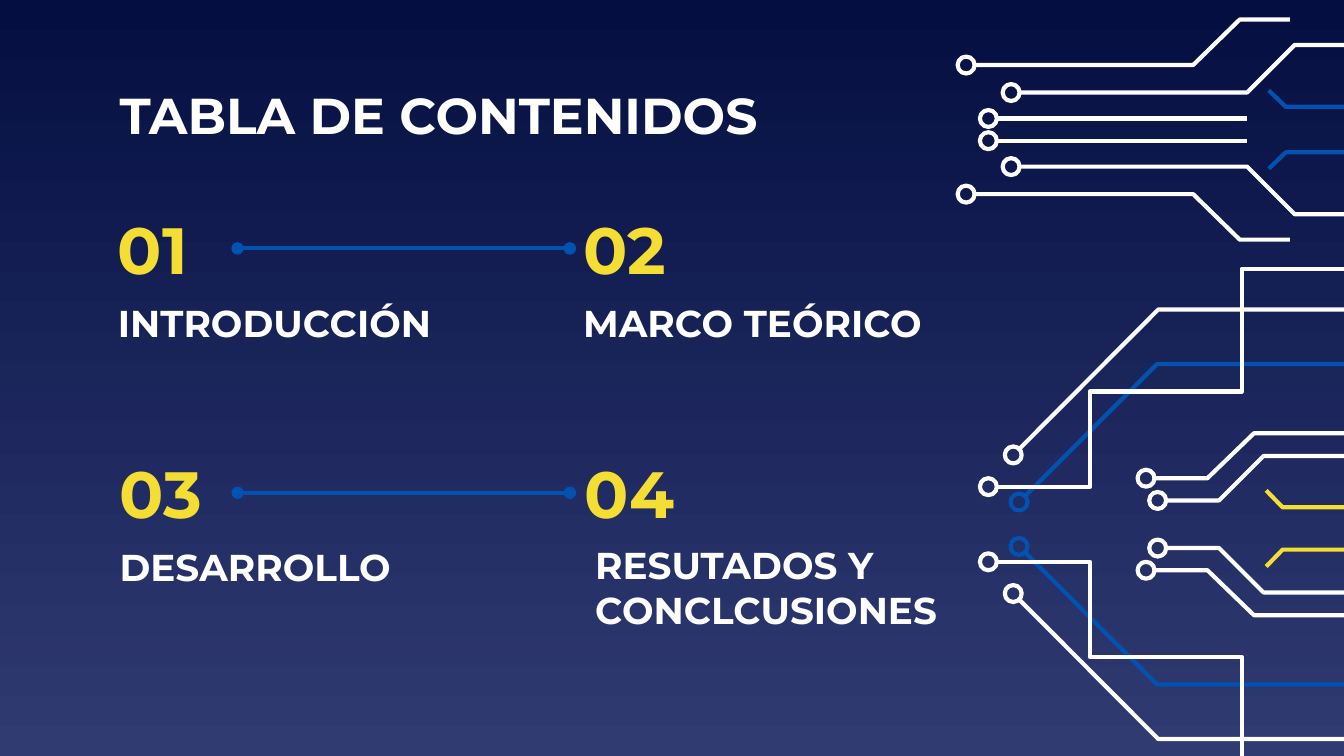
"""Builds the table of contents slide with circuit traces on its right side."""
from math import hypot

from lxml.etree import SubElement
from pptx import Presentation
from pptx.dml.color import RGBColor
from pptx.enum.shapes import MSO_CONNECTOR as Link, MSO_SHAPE as Shape
from pptx.enum.text import MSO_ANCHOR as Anchor
from pptx.oxml.ns import qn
from pptx.util import Cm, Pt

COLORS = {"top": "040E41", "bottom": "303B72", "white": "FFFFFF",
          "yellow": "F5DE34", "blue": "0152B1"}
FONT = "Montserrat"
WIDTH, HEIGHT = 25.4, 14.29

TITLE = "TABLA DE CONTENIDOS"
ENTRIES = [
    [("01", "INTRODUCCIÓN", 6.55, (0, 0)), ("02", "MARCO TEÓRICO", 7.06, (0, 0))],
    [("03", "DESARROLLO", 6.12, (0, 0)),
     ("04", "RESUTADOS Y CONCLCUSIONES", 7.06, (0.2, 0.38))],
]
COLUMNS, FIRST_ROW, ROW_PITCH, ROW_SHIFT = (1.98, 10.77), 3.96, 4.62, 0.03
NUMBER_SIZE, LABEL_HEIGHT = (2.51, 1.47), 1.32

PAD_RADIUS = 0.16
CIRCUITS = [
    {"axis": 9.91, "pads": True, "traces": [
        ("white", [(21.88, 9.46), (23.04, 9.46), (23.88, 8.62), (WIDTH, 8.62)]),
        ("white", [(21.66, 9.04), (22.82, 9.04), (23.7, 8.19), (WIDTH, 8.19)]),
        ("blue", [(19.26, 9.49), (21.87, 6.88), (WIDTH, 6.88)]),
        ("white", [(18.68, 9.2), (20.6, 9.2), (20.6, 7.4), (23.47, 7.4),
                   (23.47, 5.08), (WIDTH, 5.08)]),
        ("white", [(19.15, 8.6), (21.89, 5.85), (WIDTH, 5.85)]),
    ]},
    {"axis": 9.99, "pads": False, "traces": [
        ("yellow", [(23.93, 9.27), (24.24, 9.59), (WIDTH, 9.59)]),
    ]},
    {"axis": 2.45, "pads": False, "traces": [
        ("blue", [(23.98, 1.71), (24.3, 2.02), (WIDTH, 2.02)]),
    ]},
    {"axis": 2.45, "pads": True, "traces": [
        ("white", [(18.26, 1.23), (22.55, 1.23), (23.43, 0.37), (24.38, 0.37)]),
        ("white", [(19.11, 1.75), (23.57, 1.75), (24.47, 0.85), (WIDTH, 0.85)]),
        ("white", [(18.68, 2.24), (23.57, 2.24)]),
    ]},
]


def rgb(name):
    return RGBColor.from_string(COLORS[name])


def outline(shape, color):
    shape.line.color.rgb = rgb(color)
    shape.line.width = Pt(2.25)


def add_link(slide, start, end, color):
    link = slide.shapes.add_connector(Link.STRAIGHT, *map(Cm, start + end))
    outline(link, color)
    SubElement(link._element.spPr, qn("a:effectLst"))
    return link


def add_hollow(shape, color):
    shape.fill.background()
    shape.shadow.inherit = False
    outline(shape, color)


def mirrored(route, axis):
    """Reflects a route across a horizontal axis, ending it at the slide edge."""
    flipped = []
    for x, y in route:
        y = 2 * axis - y
        flipped.append((x, min(y, HEIGHT)))
        if y > HEIGHT:
            break
    return flipped


def add_trace(slide, color, route, has_pad):
    if has_pad:
        (x, y), (next_x, next_y) = route[:2]
        reach = PAD_RADIUS / hypot(next_x - x, next_y - y)
        route = [(x + (next_x - x) * reach, y + (next_y - y) * reach)] + route[1:]
        pad = slide.shapes.add_shape(
            Shape.OVAL, Cm(x - PAD_RADIUS), Cm(y - PAD_RADIUS),
            Cm(2 * PAD_RADIUS), Cm(2 * PAD_RADIUS))
        add_hollow(pad, color)
    if len(route) == 2:
        add_link(slide, *route, color)
        return
    corners = [(Cm(x), Cm(y)) for x, y in route]
    builder = slide.shapes.build_freeform(*corners[0])
    builder.add_line_segments(corners[1:], close=False)
    add_hollow(builder.convert_to_shape(), color)


def add_text(slide, text, left, top, width, height, size, color):
    box = slide.shapes.add_textbox(Cm(left), Cm(top), Cm(width), Cm(height))
    frame = box.text_frame
    frame.text = text
    frame.word_wrap = True
    frame.vertical_anchor = Anchor.MIDDLE
    frame.margin_left = frame.margin_right = Cm(0.25)
    frame.margin_top = frame.margin_bottom = Cm(0.25)
    font = frame.paragraphs[0].runs[0].font
    font.name, font.size, font.bold = FONT, Pt(size), True
    font.color.rgb = rgb(color)


def add_entries(slide):
    number_width, number_height = NUMBER_SIZE
    for row, entries in enumerate(ENTRIES):
        top, shift = FIRST_ROW + row * ROW_PITCH, row * ROW_SHIFT
        for column, (number, label, width, (dx, dy)) in zip(COLUMNS, entries):
            left = column + shift
            add_text(slide, number, left, top, *NUMBER_SIZE, 35, "yellow")
            add_text(slide, label, left + dx, top + number_height + dy,
                     width, LABEL_HEIGHT, 20, "white")
        middle = top + number_height / 2
        link = add_link(slide, (COLUMNS[0] + number_width, middle),
                        (COLUMNS[1], middle), "blue")
        for end in ("a:headEnd", "a:tailEnd"):
            SubElement(link.line._get_or_add_ln(), qn(end), type="oval")


def main():
    deck = Presentation()
    deck.slide_width, deck.slide_height = Cm(WIDTH), Cm(HEIGHT)
    slide = deck.slides.add_slide(deck.slide_layouts[6])
    backdrop = slide.background.fill
    backdrop.gradient()
    backdrop.gradient_angle = 270
    for stop, name in zip(backdrop.gradient_stops, ("top", "bottom")):
        stop.color.rgb = rgb(name)

    for circuit in CIRCUITS:
        for color, route in circuit["traces"]:
            for path in (route, mirrored(route, circuit["axis"])):
                add_trace(slide, color, path, circuit["pads"])
    add_text(slide, TITLE, 2.01, 1.5, 14.91, 1.32, 27, "white")
    add_entries(slide)
    deck.save("out.pptx")


if __name__ == "__main__":
    main()
